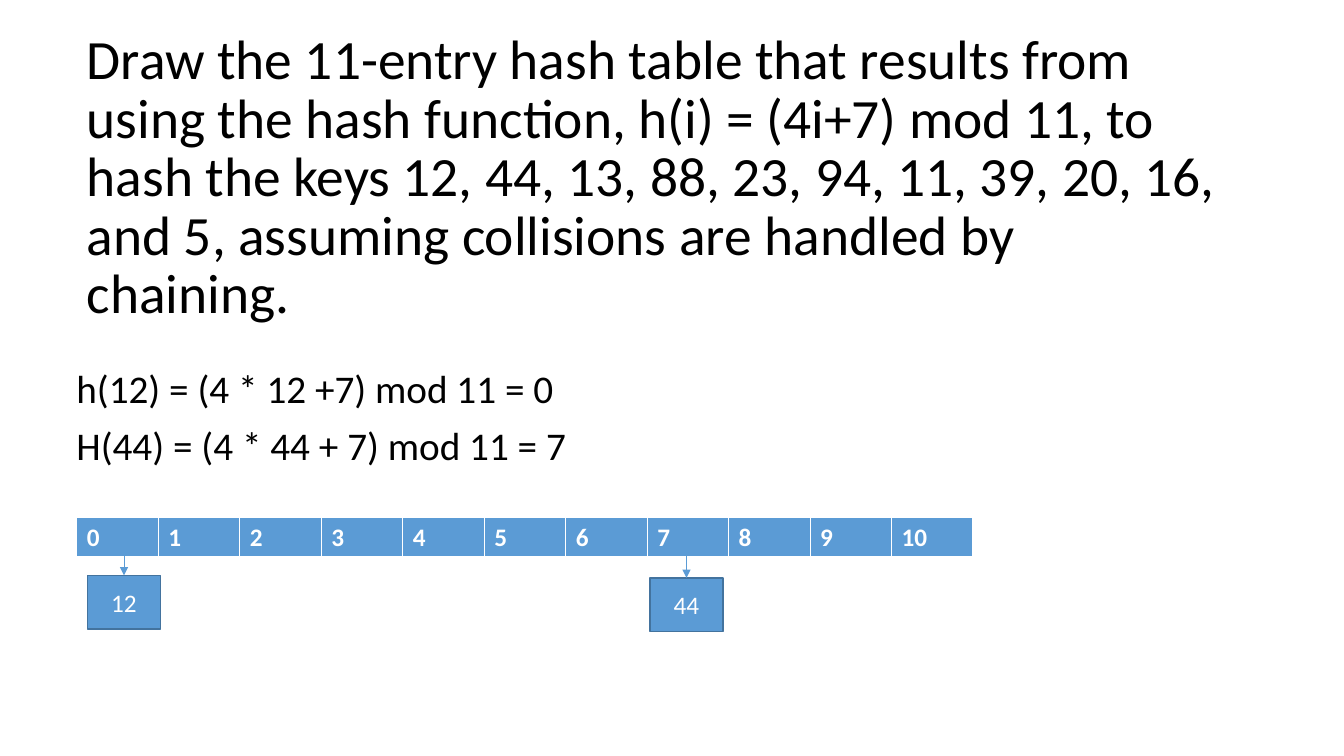
import pptx
import pptx.dml.color
import pptx.enum.shapes
import pptx.enum.text
import pptx.oxml
import pptx.oxml.ns
import pptx.util

Pt = pptx.util.Pt
Align = pptx.enum.text.PP_ALIGN
Anchor = pptx.enum.text.MSO_ANCHOR

COLORS = {"text": "000000", "white": "FFFFFF", "blue": "5B9BD5", "outline": "43739E"}
FONT = "Calibri"
QUESTION = (
    "Draw the 11-entry hash table that results from using the hash function, "
    "h(i) = (4i+7) mod 11, to hash the keys 12, 44, 13, 88, 23, 94, 11, 39, 20, 16, "
    "and 5, assuming collisions are handled by chaining."
)
HASHES = ["h(12) = (4 * 12 +7) mod 11 = 0", "H(44) = (4 * 44 + 7) mod 11 = 7"]
BUCKETS = 11
TABLE_LEFT, TABLE_TOP = 54.9, 369.4
CELL_WIDTH, ROW_HEIGHT = 58.2, 29.2
ARROW_TOP = 395.3
NODE_WIDTH, NODE_HEIGHT = 52, 38.2
# Key, left and top of each chained node
NODES = [("12", 62.6, 411), ("44", 464.4, 412.8)]


def color(name):
    return pptx.dml.color.RGBColor.from_string(COLORS[name])


def write(frame, lines, size, ink="text", bold=False, align=Align.LEFT,
          spacing=1.0, gap=0):
    """Fill a text frame with one paragraph a line; gap goes between paragraphs."""
    frame.word_wrap = True
    for index, line in enumerate(lines):
        paragraph = frame.add_paragraph() if index else frame.paragraphs[0]
        paragraph.alignment = align
        paragraph.line_spacing = spacing
        paragraph.space_before = Pt(gap if index else 0)
        run = paragraph.add_run()
        run.text = line
        run.font.name = FONT
        run.font.size = Pt(size)
        run.font.bold = bold
        run.font.color.rgb = color(ink)


def add_text(slide, lines, left, top, width, height, **text_format):
    box = slide.shapes.add_textbox(Pt(left), Pt(top), Pt(width), Pt(height))
    write(box.text_frame, lines, **text_format)


def set_borders(cell):
    properties = cell._tc.get_or_add_tcPr()
    for position, (side, width) in enumerate((("L", 1), ("R", 1), ("T", 1), ("B", 3))):
        properties.insert(position, pptx.oxml.parse_xml(
            f'<a:ln{side} {pptx.oxml.ns.nsdecls("a")} w="{Pt(width)}"><a:solidFill>'
            f'<a:srgbClr val="{COLORS["white"]}"/></a:solidFill></a:ln{side}>'))


def add_bucket_table(slide):
    table = slide.shapes.add_table(
        1, BUCKETS, Pt(TABLE_LEFT), Pt(TABLE_TOP),
        Pt(CELL_WIDTH * BUCKETS), Pt(ROW_HEIGHT)).table
    for bucket in range(BUCKETS):
        table.columns[bucket].width = Pt(CELL_WIDTH)
        cell = table.cell(0, bucket)
        cell.fill.solid()
        cell.fill.fore_color.rgb = color("blue")
        set_borders(cell)
        write(cell.text_frame, [str(bucket)], size=18, ink="white", bold=True)


def add_node(slide, key, left, top):
    node = slide.shapes.add_shape(
        pptx.enum.shapes.MSO_SHAPE.RECTANGLE,
        Pt(left), Pt(top), Pt(NODE_WIDTH), Pt(NODE_HEIGHT))
    node.shadow.inherit = False
    node.fill.solid()
    node.fill.fore_color.rgb = color("blue")
    node.line.color.rgb = color("outline")
    node.line.width = Pt(1)
    node.text_frame.vertical_anchor = Anchor.MIDDLE
    write(node.text_frame, [key], size=18, ink="white", align=Align.CENTER)
    return node


def add_arrow(slide, node):
    """Draw an arrow from the table down to the top of a node."""
    center = node.left + node.width // 2
    arrow = slide.shapes.add_connector(
        pptx.enum.shapes.MSO_CONNECTOR.STRAIGHT, center, Pt(ARROW_TOP), center, node.top)
    arrow.end_connect(node, 0)
    arrow.line.color.rgb = color("blue")
    arrow.line.width = Pt(0.5)
    namespace = pptx.oxml.ns.nsdecls("a")
    arrow.line._get_or_add_ln().append(
        pptx.oxml.parse_xml(f'<a:tailEnd {namespace} type="triangle"/>'))
    arrow._element.spPr.append(pptx.oxml.parse_xml(f"<a:effectLst {namespace}/>"))


def main():
    presentation = pptx.Presentation()
    presentation.slide_width, presentation.slide_height = Pt(960), Pt(540)
    slide = presentation.slides.add_slide(presentation.slide_layouts[6])
    add_text(slide, [QUESTION], 54.9, 20, 828, 220, size=39.6, spacing=0.88)
    add_text(slide, HASHES, 47.5, 260.6, 828, 84, size=28, spacing=0.9, gap=10)
    add_bucket_table(slide)
    for key, left, top in NODES:
        add_arrow(slide, add_node(slide, key, left, top))
    presentation.save("out.pptx")


if __name__ == "__main__":
    main()
